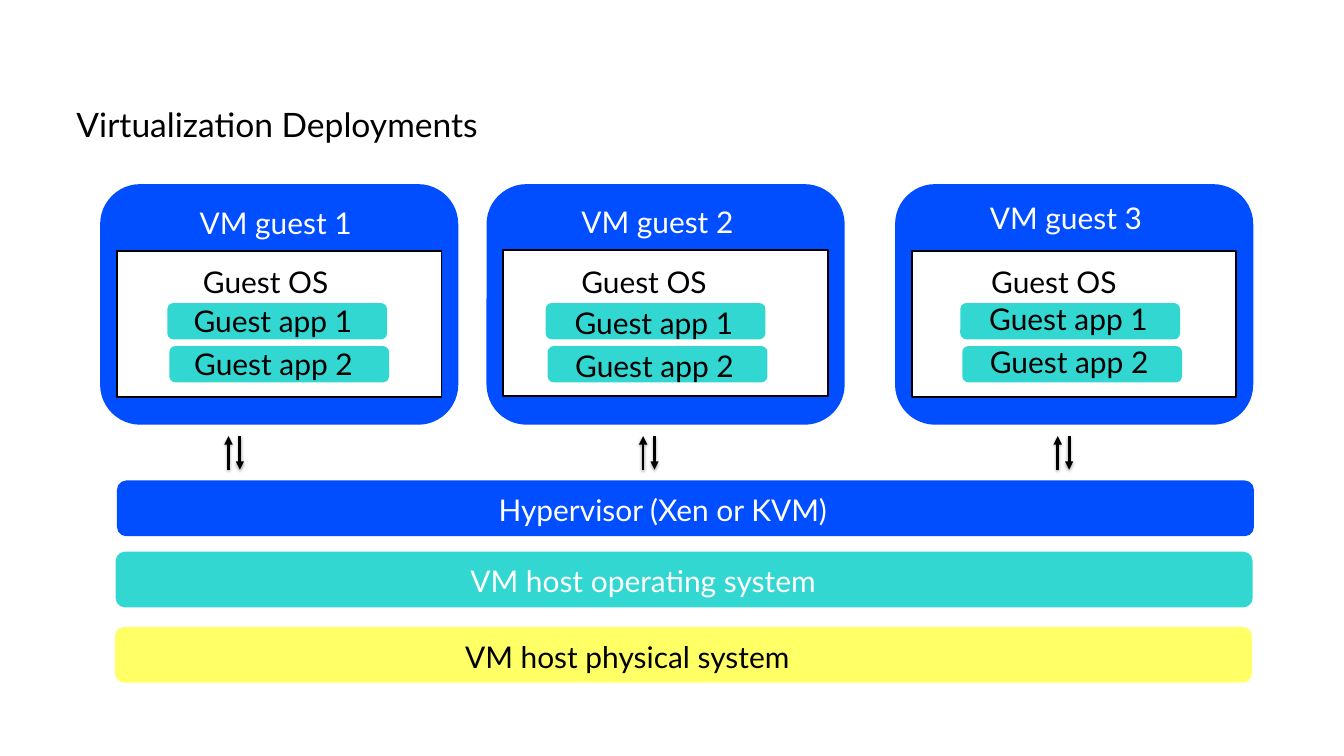
"""Build the slide showing three VM guests above a hypervisor and its host layers."""
from lxml import etree
from pptx import Presentation
from pptx.dml.color import RGBColor
from pptx.enum.shapes import MSO_CONNECTOR, MSO_SHAPE
from pptx.util import Pt

PX = 9144
ROUNDED = MSO_SHAPE.ROUNDED_RECTANGLE
RECTANGLE = MSO_SHAPE.RECTANGLE
STRAIGHT = MSO_CONNECTOR.STRAIGHT
color = RGBColor.from_string
BLUE, TEAL, YELLOW = "004EFF", "33D7D1", "FFFF66"
BLACK, WHITE = "000000", "FFFFFF"
NAMESPACE = "http://schemas.openxmlformats.org/drawingml/2006/main"
ARROWHEAD = f'<a:tailEnd xmlns:a="{NAMESPACE}" type="triangle"/>'
SHADOW = (
    f'<a:effectLst xmlns:a="{NAMESPACE}">'
    '<a:outerShdw blurRad="40000" dist="23000" dir="5400000" rotWithShape="0">'
    '<a:srgbClr val="000000"><a:alpha val="35000"/></a:srgbClr>'
    '</a:outerShdw></a:effectLst>'
)

presentation = Presentation()
presentation.slide_width = 2000 * PX
presentation.slide_height = 1125 * PX
slide = presentation.slides.add_slide(presentation.slide_layouts[6])


def add_box(kind, left, top, width, height, fill):
    shape = slide.shapes.add_shape(kind, left * PX, top * PX, width * PX, height * PX)
    shape.shadow.inherit = False
    shape.fill.solid()
    shape.fill.fore_color.rgb = color(fill)
    shape.line.fill.background()
    return shape


def add_label(text, left, top, width, font_color, height=54, size=32, inset=0):
    label = slide.shapes.add_textbox(left * PX, top * PX, width * PX, height * PX)
    frame = label.text_frame
    frame.word_wrap = True
    frame.margin_left = frame.margin_right = inset * PX
    frame.margin_top = frame.margin_bottom = inset // 2 * PX
    paragraph = frame.paragraphs[0]
    paragraph.text = text
    paragraph.font.name = "Lato"
    paragraph.font.size = Pt(size)
    paragraph.font.color.rgb = color(font_color)


add_label("Virtualization Deployments", 104, 149, 654, BLACK, height=71, size=36, inset=10)

guests = [
    # left, OS top, (name x, y), (OS label x, y), app left, (app label x, y)
    (149, 374, (297, 305), (302, 393), 249, (288, 451)),
    (724, 372, (865, 303), (865, 392), 812, (855, 454)),
    (1332, 374, (1473, 297), (1475, 392), 1429, (1472, 448)),
]
for number, (left, os_top, name, os_label, app_left, app_label) in enumerate(guests, 1):
    add_box(ROUNDED, left, 274, 533, 358, BLUE)
    guest_os = add_box(RECTANGLE, left + 25, os_top, 483, 217, WHITE)
    guest_os.line.color.rgb = color(BLACK)
    guest_os.line.width = Pt(2)
    add_label(f"VM guest {number}", *name, 251, WHITE)
    add_label("Guest OS", *os_label, 228, BLACK)
    for app in range(2):
        add_box(ROUNDED, app_left + 3 * app, 451 + 64 * app, 327, 54, TEAL)
        add_label(f"Guest app {app + 1}", app_label[0] + app, app_label[1] + 64 * app, 268, BLACK)

for pair_left in range(340, 1575, 617):
    for x, start, end in ((pair_left, 699, 649), (pair_left + 17, 649, 699)):
        arrow = slide.shapes.add_connector(STRAIGHT, x * PX, start * PX, x * PX, end * PX)
        arrow.line.color.rgb = color(BLACK)
        arrow.line.width = Pt(3)
        arrow.line._get_or_add_ln().append(etree.fromstring(ARROWHEAD))
        arrow._element.spPr.append(etree.fromstring(SHADOW))

layers = [
    ("Hypervisor (Xen or KVM)", 174, 715, BLUE, 742, 504, WHITE),
    ("VM host operating system", 172, 821, TEAL, 700, 590, WHITE),
    ("VM host physical system", 171, 933, YELLOW, 692, 525, BLACK),
]
for text, left, top, fill, label_left, label_width, font_color in layers:
    add_box(ROUNDED, left, top, 1692, 83, fill)
    add_label(text, label_left, top + 17, label_width, font_color)

presentation.save("out.pptx")
